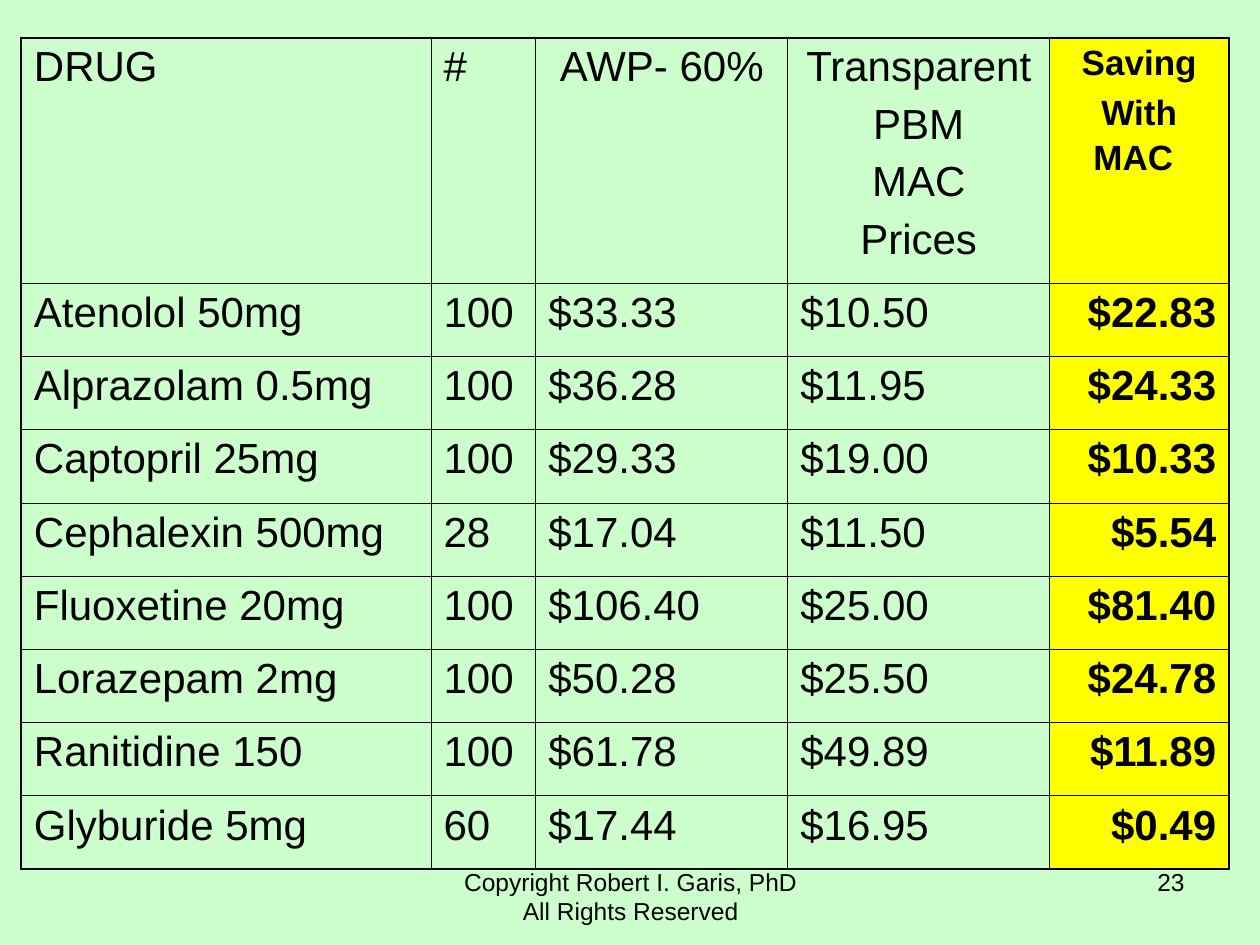
from lxml.etree import SubElement as Sub
from pptx import Presentation
from pptx.dml.color import RGBColor
from pptx.enum.text import PP_ALIGN as Align
from pptx.oxml.ns import qn
from pptx.util import Cm, Pt

MINT = RGBColor(0xCC, 0xFF, 0xCC)
YELLOW = RGBColor(0xFF, 0xFF, 0x00)
BLACK = RGBColor(0x00, 0x00, 0x00)

THIN, THICK = 0.45, 1.08
COLS = [8.26, 2.11, 5.08, 5.28, 3.61]
HEAD_H, TABLE_H = 4.95, 16.76

HEADS = [
    ["DRUG"],
    ["#"],
    ["AWP- 60%"],
    ["Transparent", "PBM", "MAC", "Prices"],
    ["Saving", "With MAC"],
]
DRUGS = [
    ("Atenolol 50mg", "100", "$33.33", "$10.50", "$22.83"),
    ("Alprazolam 0.5mg", "100", "$36.28", "$11.95", "$24.33"),
    ("Captopril 25mg", "100", "$29.33", "$19.00", "$10.33"),
    ("Cephalexin 500mg", "28", "$17.04", "$11.50", "$5.54"),
    ("Fluoxetine 20mg", "100", "$106.40", "$25.00", "$81.40"),
    ("Lorazepam 2mg", "100", "$50.28", "$25.50", "$24.78"),
    ("Ranitidine 150", "100", "$61.78", "$49.89", "$11.89"),
    ("Glyburide 5mg", "60", "$17.44", "$16.95", "$0.49"),
]


class Deck:
    font = "Arial"

    def __init__(self, show):
        self.slide = show.slides.add_slide(show.slide_layouts[6])
        fill = self.slide.background.fill
        fill.solid()
        fill.fore_color.rgb = MINT

    def run(self, para, text, size, bold=False):
        run = para.add_run()
        run.text = text
        font = run.font
        font.name, font.size, font.bold = self.font, Pt(size), bold
        font.color.rgb = BLACK

    def lines(self, frame, texts, align, size=24, bold=False):
        """Write one paragraph per text and return the last."""
        for i, text in enumerate(texts):
            para = frame.add_paragraph() if i else frame.paragraphs[0]
            para.alignment = align
            if i:
                para.space_before = Pt(6)
            self.run(para, text, size, bold)
        return para

    def border(self, cell, sides):
        props = cell._tc.get_or_add_tcPr()
        for side, width in sides.items():
            line = Sub(props, qn("a:ln" + side), w=str(Pt(width)))
            fill = Sub(line, qn("a:solidFill"))
            Sub(fill, qn("a:srgbClr"), val=str(BLACK))

    def paint(self, cell, color=None):
        if color is None:
            cell.fill.background()
        else:
            cell.fill.solid()
            cell.fill.fore_color.rgb = color

    def table(self, left, top, cols, rows):
        frame = self.slide.shapes.add_table(
            len(rows), len(cols), Cm(left), Cm(top), Cm(sum(cols)), Cm(sum(rows)))
        table = frame.table
        table.first_row = table.horz_banding = False
        for col, width in zip(table.columns, cols):
            col.width = Cm(width)
        for row, height in zip(table.rows, rows):
            row.height = Cm(height)
        end_r, end_c = len(rows) - 1, len(cols) - 1
        for r in range(len(rows)):
            for c in range(len(cols)):
                edges = {"L": c == 0, "R": c == end_c, "T": r == 0, "B": r == end_r}
                cell = table.cell(r, c)
                self.border(cell, {s: THICK if out else THIN for s, out in edges.items()})
                self.paint(cell, YELLOW if c == end_c else None)
        return table

    def label(self, left, width, align, *texts):
        box = self.slide.shapes.add_textbox(Cm(left), Cm(17.35), Cm(width), Cm(1.32))
        frame = box.text_frame
        frame.word_wrap = True
        para = frame.paragraphs[0]
        para.alignment = align
        for i, text in enumerate(texts):
            if i:
                para.add_line_break()
            self.run(para, text, 14)


def main():
    show = Presentation()
    show.slide_width, show.slide_height = Cm(25.4), Cm(19.05)
    deck = Deck(show)

    row_h = (TABLE_H - HEAD_H) / len(DRUGS)
    table = deck.table(0.43, 0.76, COLS, [HEAD_H] + [row_h] * len(DRUGS))
    last = len(COLS) - 1
    for c, texts in enumerate(HEADS):
        align = Align.LEFT if c < 2 else Align.CENTER
        save = c == last
        para = deck.lines(table.cell(0, c).text_frame, texts, align,
                          20 if save else 24, save)
        if save:
            deck.run(para, " ", 24)
    for r, drug in enumerate(DRUGS, 1):
        for c, text in enumerate(drug):
            save = c == last
            deck.lines(table.cell(r, c).text_frame, [text],
                       Align.RIGHT if save else Align.LEFT, bold=save)

    deck.label(8.69, 8.05, Align.CENTER,
               "Copyright Robert I. Garis, PhD", "All Rights Reserved")
    deck.label(18.21, 5.92, Align.RIGHT, "23")
    show.save("out.pptx")


if __name__ == "__main__":
    main()
